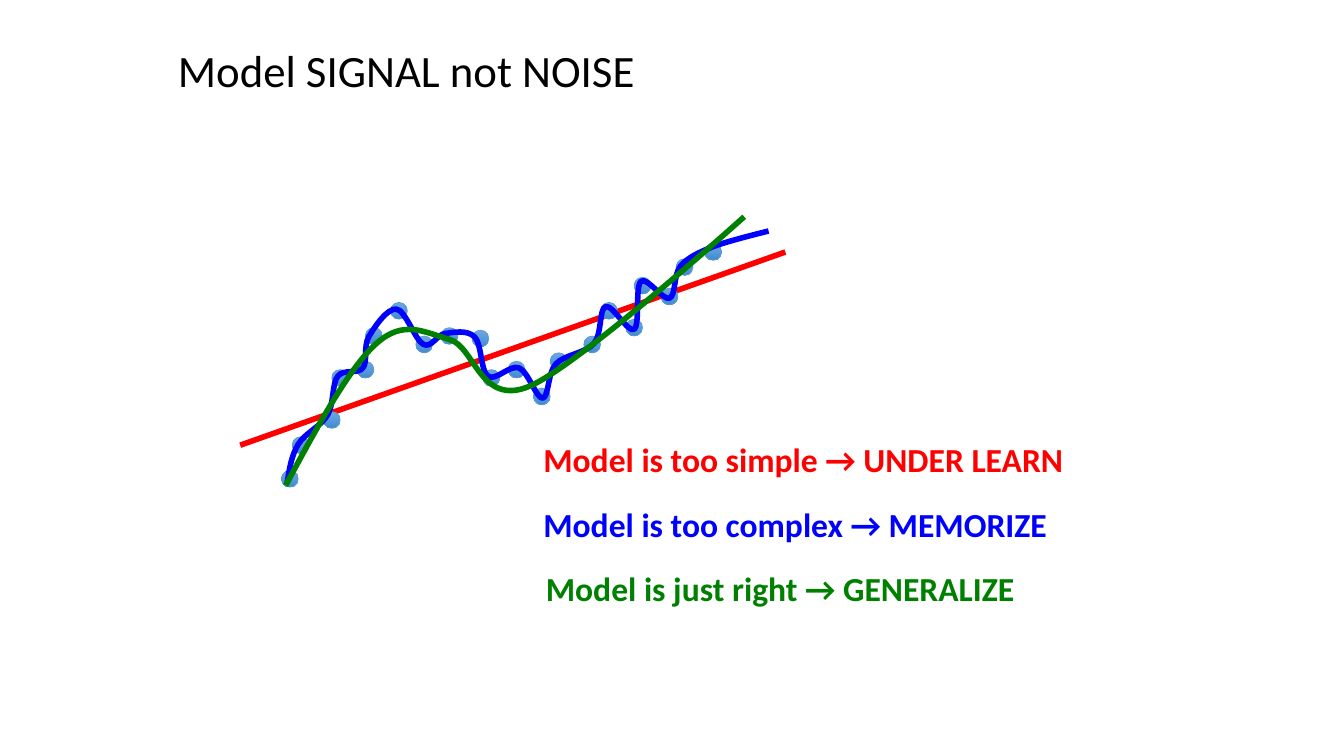
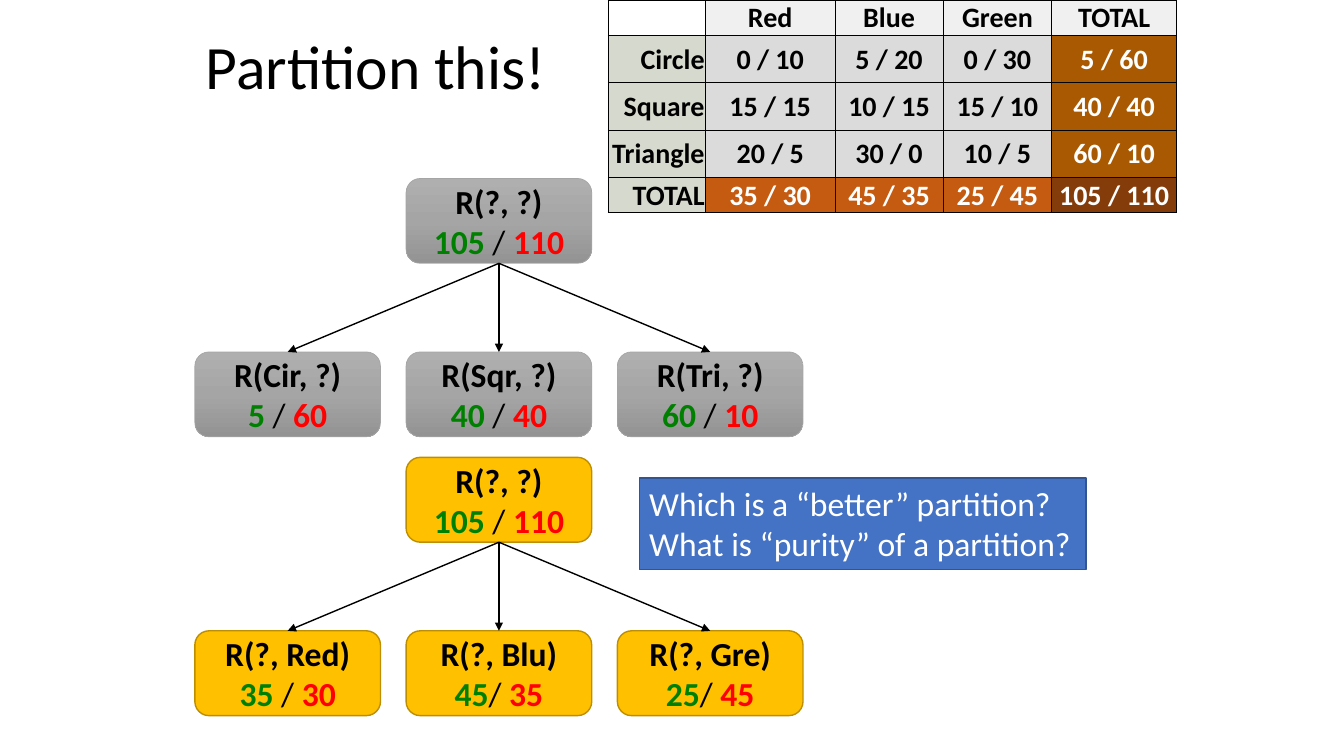
"""Build two slides on model fit and partitions on a grid of 160 columns by 90 rows."""
from copy import deepcopy

from lxml import etree
from pptx import Presentation
from pptx.dml.color import RGBColor
from pptx.enum.shapes import MSO_CONNECTOR, MSO_SHAPE
from pptx.enum.text import MSO_ANCHOR, PP_ALIGN
from pptx.oxml.ns import qn
from pptx.util import Pt

LEFT, CENTER, RIGHT = PP_ALIGN.LEFT, PP_ALIGN.CENTER, PP_ALIGN.RIGHT
TOP, MIDDLE, BOTTOM = MSO_ANCHOR.TOP, MSO_ANCHOR.MIDDLE, MSO_ANCHOR.BOTTOM
RECT, ROUND, OVAL = MSO_SHAPE.RECTANGLE, MSO_SHAPE.ROUNDED_RECTANGLE, MSO_SHAPE.OVAL
STRAIGHT = MSO_CONNECTOR.STRAIGHT


class Theme:
    font = "Calibri"
    black, white = "000000", "FFFFFF"
    red, blue, green = "FF0000", "0000FF", "008000"
    dot = ("71A6DB", "559BDB", "448ACA")
    dot_line = "5B9BD5"
    gray = ("AFAFAF", "A5A5A5", "939393")
    gray_line = "A5A5A5"
    gold, gold_line = "FFC000", "BD8E00"
    note, note_line = "4472C4", "325491"
    head, side, body = "F1F0F0", "D6D9CD", "DBDBDB"
    row_total, col_total, grand_total = "A85902", "C55A11", "843C0B"
    title, big_title, text, cell = Pt(32), Pt(44), Pt(24), Pt(20)
    curve = 4


def grid(*cells):
    """Turn grid units into lengths."""
    return [round(c * UNIT) for c in cells]


def style(sp, fill=None, line=None, width=1, paras=(), align=LEFT, spacing=1.0):
    """Fill, outline and write a shape or a table cell."""
    if isinstance(fill, tuple):
        sp.fill.gradient()
        sp.fill.gradient_angle = 270
        stops = sp._element.spPr.find(".//" + qn("a:gsLst"))
        stops.insert(1, deepcopy(stops[0]))
        for stop, color, pos in zip(sp.fill.gradient_stops, fill, (0, 0.5, 1)):
            stop.color.rgb, stop.position = RGBColor.from_string(color), pos
    elif fill:
        sp.fill.solid()
        sp.fill.fore_color.rgb = RGBColor.from_string(fill)
    else:
        sp.fill.background()
    if hasattr(sp, "shadow"):
        sp.shadow.inherit = False
        if line:
            sp.line.color.rgb = RGBColor.from_string(line)
            sp.line.width = Pt(width)
        else:
            sp.line.fill.background()
    for i, runs in enumerate(paras):
        tf = sp.text_frame
        p = tf.add_paragraph() if i else tf.paragraphs[0]
        p.alignment, p.line_spacing = align, spacing
        for text, size, color, bold in runs:
            r = p.add_run()
            r.text = text
            for key, value in {"name": T.font, "size": size, "bold": bold}.items():
                setattr(r.font, key, value)
            r.font.color.rgb = RGBColor.from_string(color)


T = Theme
UNIT = Pt(6)
prs = Presentation()
prs.slide_width, prs.slide_height = grid(160, 90)
signal, partition = [prs.slides.add_slide(prs.slide_layouts[6]) for _ in range(2)]
connectors = []

trend = signal.shapes.add_connector(STRAIGHT, *grid(28.6, 53, 93.5, 30))
connectors.append((trend, T.red, T.curve))

for s, text, size, at in (
    (signal, "Model SIGNAL not NOISE", T.title, (20, 2.75, 117, 12)),
    (partition, "Partition this!", T.big_title, (23.3, 2.25, 49, 12)),
):
    tb = s.shapes.add_textbox(*grid(*at))
    tb.text_frame.word_wrap, tb.text_frame.vertical_anchor = True, MIDDLE
    style(tb, paras=[[(text, size, T.black, False)]], spacing=0.9)

DOTS = [
    (34.5, 57), (35.8, 53), (39.5, 50), (40.5, 45), (43.5, 44), (44.5, 40), (47.5, 37),
    (50.5, 41), (53.5, 40), (57.2, 40.3), (58.5, 45), (61.5, 44), (64.5, 47.2), (66.5, 43),
    (70.5, 41), (72.5, 37), (75.5, 39), (76.5, 34), (79.7, 35.3), (81.5, 31.8), (84.9, 30),
]
for x, y in DOTS:
    dot = signal.shapes.add_shape(OVAL, *grid(x - 1, y - 1, 2, 2))
    style(dot, T.dot, T.dot_line, 0.5)

MEMORIZED = [
    (34.2, 57.4), (35.5, 52.9), (39, 49.4), (40.2, 44.8), (43.2, 43.8), (43.9, 40.1),
    (47.2, 36.8), (50.4, 41), (53, 39.7), (56.5, 40.1), (58.1, 44.8), (61.8, 43.8),
    (64.6, 47.4), (66.2, 43.3), (70.7, 40.9), (72.1, 36.5), (75.5, 39.2), (76.3, 33.5),
    (79.7, 35.5), (81, 31.7), (84.8, 29.4), (91.5, 27.5),
]
GENERAL = [(34, 57.8), (44.8, 40.9), (53.5, 40.4), (63, 46), (88.6, 25.8)]
for anchors, color in ((MEMORIZED, T.blue), (GENERAL, T.green)):
    pts = [complex(*a) for a in anchors]
    tangents = [(after - before) / 6 for before, after in zip(pts, pts[2:])]
    tangents = [(pts[1] - tangents[0] - pts[0]) / 2, *tangents, 0]
    knots = []
    for a, b, ta, tb in zip(pts, pts[1:], tangents, tangents[1:]):
        knots += [a + ta, b - tb, b]
    builder = signal.shapes.build_freeform(*grid(pts[0].real, pts[0].imag))
    builder.add_line_segments([grid(k.real, k.imag) for k in knots], close=False)
    sp = builder.convert_to_shape()
    outline = sp._element.find(".//" + qn("a:path"))
    segments = outline.findall(qn("a:lnTo"))
    for i in range(0, len(segments), 3):
        bezier = etree.SubElement(outline, qn("a:cubicBezTo"))
        for segment in segments[i:i + 3]:
            bezier.append(segment[0])
            outline.remove(segment)
    style(sp, None, color, T.curve)

for i, (text, color, x) in enumerate((
    ("Model is too simple → UNDER LEARN", T.red, 63.5),
    ("Model is too complex → MEMORIZE", T.blue, 63.5),
    ("Model is just right → GENERALIZE", T.green, 63.8),
)):
    tb = signal.shapes.add_textbox(*grid(x, 51.7 + 7.65 * i, 76, 6))
    tb.text_frame.word_wrap = True
    style(tb, paras=[[(text, T.text, color, True)]])

ROWS = [
    ("", "Red", "Blue", "Green", "TOTAL"),
    ("Circle", "0 / 10", "5 / 20", "0 / 30", "5 / 60"),
    ("Square", "15 / 15", "10 / 15", "15 / 10", "40 / 40"),
    ("Triangle", "20 / 5", "30 / 0", "10 / 5", "60 / 10"),
    ("TOTAL", "35 / 30", "45 / 35", "25 / 45", "105 / 110"),
]
WIDTHS = grid(11.6, 15.4, 12.9, 12.9, 14.9)
HEIGHTS = grid(4.2, 5.65, 5.65, 5.65, 4.2)
LAST = len(ROWS) - 1
table = partition.shapes.add_table(5, 5, *grid(72.4, 0), sum(WIDTHS), sum(HEIGHTS)).table
table.first_row = table.horz_banding = False
for col, width in zip(table.columns, WIDTHS):
    col.width = width
for row, height in zip(table.rows, HEIGHTS):
    row.height = height
for i, values in enumerate(ROWS):
    for j, text in enumerate(values):
        cell = table.cell(i, j)
        for key, value in {
            "margin_left": Pt(0.7), "margin_right": Pt(0.7), "margin_top": Pt(0.7),
            "margin_bottom": 0, "vertical_anchor": MIDDLE if i else BOTTOM,
        }.items():
            setattr(cell, key, value)
        tcPr = cell._tc.get_or_add_tcPr()
        for side in "LRTB":
            outer = (side == "R" and j == LAST) or (side == "B" and i == LAST)
            ln = etree.SubElement(tcPr, qn("a:ln" + side), w=str(Pt(1 if outer else 0.5)))
            solid = etree.SubElement(ln, qn("a:solidFill"))
            etree.SubElement(solid, qn("a:srgbClr"), val=T.black)
        if i == 0:
            fill = T.head if j else None
        elif j == 0:
            fill = T.side
        elif i == LAST:
            fill = T.grand_total if j == LAST else T.col_total
        else:
            fill = T.row_total if j == LAST else T.body
        dark = fill in (T.row_total, T.col_total, T.grand_total)
        runs = [(text, T.cell, T.white if dark else T.black, True)] if text else []
        style(cell, fill, paras=[runs], align=CENTER if j else RIGHT)

TREES = [
    (21.25, T.gray, T.gray_line, 0.5, [
        ("R(Cir, ?)", "5 ", "60"), ("R(Sqr, ?)", "40 ", "40"), ("R(Tri, ?)", "60 ", "10"),
    ]),
    (54.45, T.gold, T.gold_line, 1, [
        ("R(?, Red)", "35 ", "30"), ("R(?, Blu)", "45", "35"), ("R(?, Gre)", "25", "45"),
    ]),
]
for top, fill, line, width, leaves in TREES:
    nodes = []
    for i, (name, good, bad) in enumerate([("R(?, ?)", "105 ", "110")] + leaves):
        col, drop = (i - 1, 20.65) if i else (1, 0)
        node = partition.shapes.add_shape(
            ROUND, *grid(23.2 + 25.15 * col, top + drop, 22.1, 10.1))
        node.text_frame.vertical_anchor = MIDDLE
        style(node, fill, line, width, [
            [(name, T.text, T.black, True)],
            [(good, T.text, T.green, True), ("/ ", T.text, T.black, False),
             (bad, T.text, T.red, True)],
        ], CENTER)
        nodes.append(node)
    for leaf in nodes[1:]:
        arrow = partition.shapes.add_connector(STRAIGHT, 0, 0, 0, 0)
        arrow.begin_connect(nodes[0], 2)
        arrow.end_connect(leaf, 0)
        connectors.append((arrow, T.black, 1))

note = partition.shapes.add_shape(RECT, *grid(76.1, 56.9, 53.2, 10.9))
note.text_frame.word_wrap, note.text_frame.vertical_anchor = True, TOP
style(note, T.note, T.note_line, 1, [
    [("Which is a “better” partition?", T.text, T.white, False)],
    [("What is “purity” of a partition?", T.text, T.white, False)],
])

for connector, color, width in connectors:
    connector.line.color.rgb = RGBColor.from_string(color)
    connector.line.width = Pt(width)
    spPr = connector._element.spPr
    if connector is not trend:
        etree.SubElement(spPr.find(qn("a:ln")), qn("a:tailEnd"), type="triangle")
    etree.SubElement(spPr, qn("a:effectLst"))

prs.save("out.pptx")
